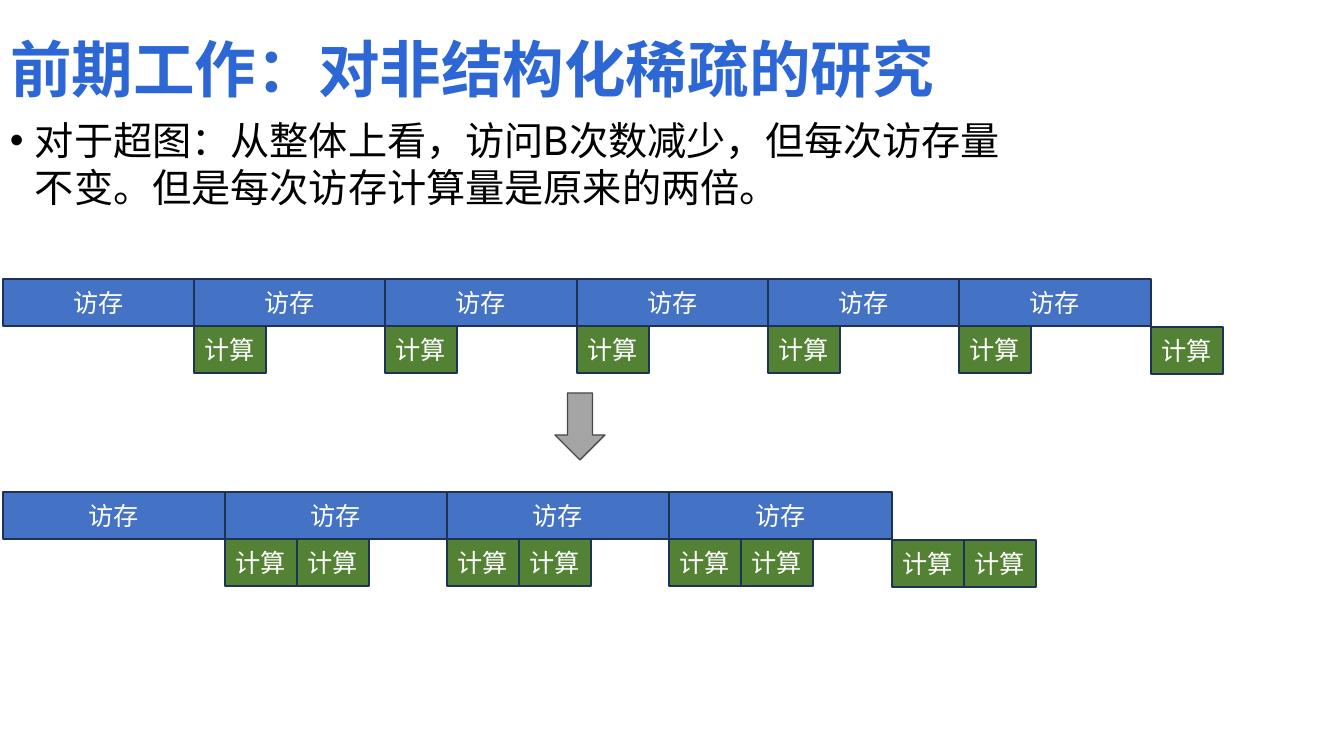
import pptx
import pptx.dml.color
import pptx.enum.shapes
import pptx.enum.text
import pptx.oxml
import pptx.oxml.ns
import pptx.util

SHAPE = pptx.enum.shapes.MSO_SHAPE
ALIGN = pptx.enum.text.PP_ALIGN
ANCHOR = pptx.enum.text.MSO_ANCHOR
DRAWING_NS = "http://schemas.openxmlformats.org/drawingml/2006/main"


def px(length):
    """Turn whole pixels into EMU at 100.8 pixels to the inch."""
    return pptx.util.Emu(round(length * 914400 / 100.8))


def colour(value):
    """Turn a hex string into a colour."""
    return pptx.dml.color.RGBColor.from_string(value)


class Timeline:
    """Hold the style and the slide that shows the access timelines."""

    cjk_font = "Noto Sans CJK SC"
    body_font = "Inter"
    access_fill = "4472C4"
    compute_fill = "548235"
    box_line = "1E3256"
    box_height = 47
    compute_width = 72

    def __init__(self, deck):
        """Add a title-only slide to the deck."""
        self.slide = deck.slides.add_slide(deck.slide_layouts[5])

    def format_text(self, paragraph, size, font, text_colour, bold=False):
        """Format every run of a paragraph."""
        for run in paragraph.runs:
            run.font.size = pptx.util.Pt(size)
            run.font.name = font
            run.font.bold = bold
            run.font.color.rgb = colour(text_colour)
            east_asian = pptx.oxml.parse_xml(f'<a:ea xmlns:a="{DRAWING_NS}" typeface="{font}"/>')
            run.font._element.find(pptx.oxml.ns.qn("a:latin")).addnext(east_asian)

    def title(self, text, left, top, width, height):
        """Place and format the slide title."""
        heading = self.slide.shapes.title
        heading.left, heading.top = px(left), px(top)
        heading.width, heading.height = px(width), px(height)
        frame = heading.text_frame
        frame.text = text
        frame.auto_size = pptx.enum.text.MSO_AUTO_SIZE.NONE
        frame.vertical_anchor = ANCHOR.MIDDLE
        paragraph = frame.paragraphs[0]
        paragraph.alignment = ALIGN.LEFT
        paragraph.line_spacing = 0.9
        self.format_text(paragraph, 44, self.cjk_font, "2C67D5", True)

    def bullet(self, text, left, top, width, height):
        """Add a bulleted statement."""
        statement = self.slide.shapes.add_textbox(px(left), px(top), px(width), px(height))
        frame = statement.text_frame
        frame.word_wrap = True
        frame.text = text
        paragraph = frame.paragraphs[0]
        properties = paragraph._p.get_or_add_pPr()
        properties.set("marL", str(px(25)))
        properties.set("indent", str(-px(25)))
        for mark in ('buFont xmlns:a="%s" typeface="Arial"', 'buChar xmlns:a="%s" char="•"'):
            properties.append(pptx.oxml.parse_xml(f"<a:{mark % DRAWING_NS}/>"))
        self.format_text(paragraph, 28, self.body_font, "000000")

    def shape(self, kind, left, top, width, height, fill, line, label=""):
        """Add a filled shape with an optional label."""
        block = self.slide.shapes.add_shape(kind, px(left), px(top), px(width), px(height))
        block.shadow.inherit = False
        block.fill.solid()
        block.fill.fore_color.rgb = colour(fill)
        block.line.color.rgb = colour(line)
        block.line.width = pptx.util.Pt(1)
        if label:
            frame = block.text_frame
            frame.text = label
            frame.vertical_anchor = ANCHOR.MIDDLE
            frame.paragraphs[0].alignment = ALIGN.CENTER
            self.format_text(frame.paragraphs[0], 18, self.cjk_font, "FFFFFF")

    def track(self, left, top, span, accesses, computes):
        """Add a row of accesses, each followed by its computations."""
        edges = [left + span * step // accesses for step in range(accesses + 1)]
        for start, end in zip(edges, edges[1:]):
            self.shape(SHAPE.RECTANGLE, start, top, end - start, self.box_height,
                       self.access_fill, self.box_line, "访存")
        for edge in edges[1:]:
            compute_top = top + self.box_height + (edge == edges[-1])
            for step in range(computes):
                self.shape(SHAPE.RECTANGLE, edge + step * self.compute_width, compute_top,
                           self.compute_width, self.box_height,
                           self.compute_fill, self.box_line, "计算")


def main():
    """Build the slide and save it."""
    deck = pptx.Presentation()
    deck.slide_width, deck.slide_height = px(1344), px(756)
    timeline = Timeline(deck)
    timeline.title("前期工作：对非结构化稀疏的研究", 0, 0, 1159, 146)
    timeline.bullet("对于超图：从整体上看，访问B次数减少，但每次访存量不变。但是每次访存计算量是原来的两倍。",
                    0, 111, 1012, 480)
    timeline.track(3, 279, 1148, accesses=6, computes=1)
    timeline.shape(SHAPE.DOWN_ARROW, 555, 393, 50, 67, "A5A5A5", "484848")
    timeline.track(3, 492, 889, accesses=4, computes=2)
    deck.save("out.pptx")


if __name__ == "__main__":
    main()
